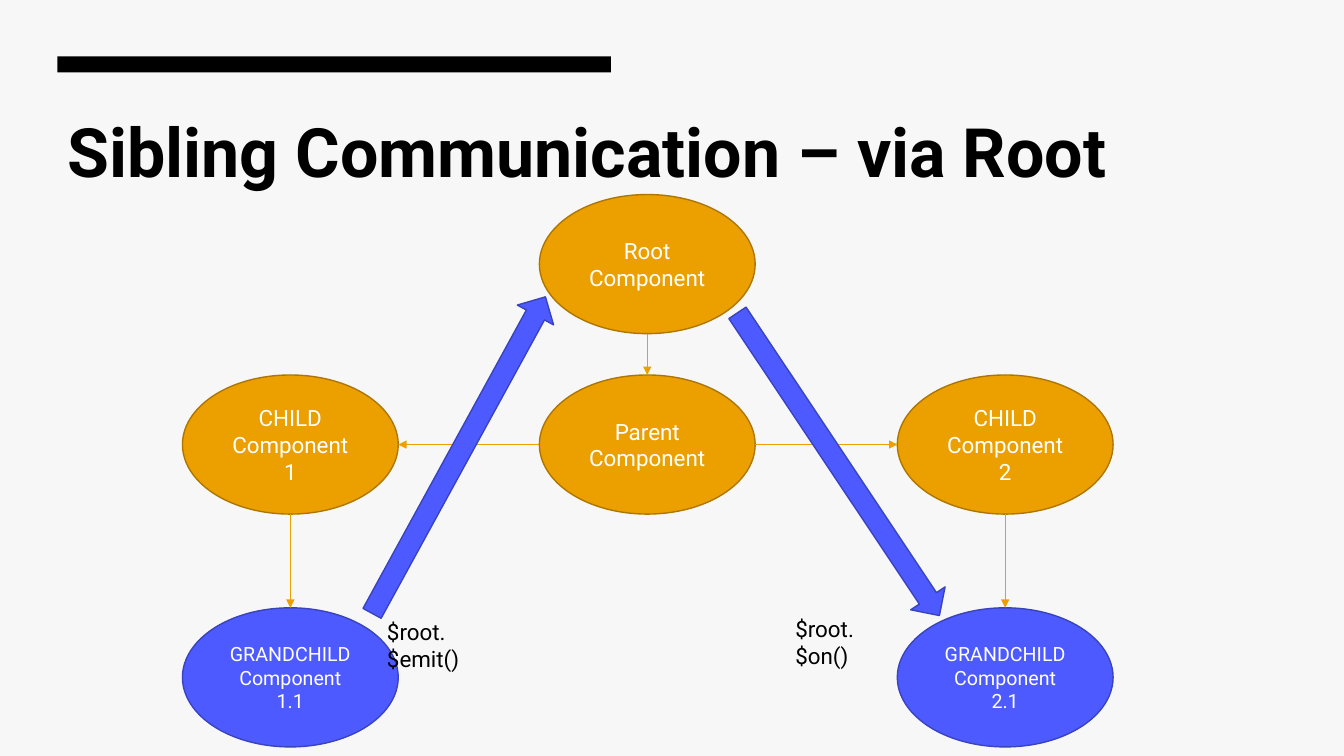
from pptx import Presentation
from pptx.dml.color import RGBColor
from pptx.enum.shapes import MSO_CONNECTOR, MSO_SHAPE
from pptx.enum.text import MSO_ANCHOR, PP_ALIGN
from pptx.oxml.ns import qn
from pptx.util import Inches, Pt
from lxml.etree import SubElement

BLACK = RGBColor(0x00, 0x00, 0x00)
WHITE = RGBColor(0xFF, 0xFF, 0xFF)
BACKGROUND = RGBColor(0xF7, 0xF7, 0xF7)
ORANGE = RGBColor(0xEB, 0xA0, 0x00)
ORANGE_EDGE = RGBColor(0xAE, 0x76, 0x00)
BLUE = RGBColor(0x4D, 0x5A, 0xFF)
BLUE_EDGE = RGBColor(0x39, 0x43, 0xBD)

NODE_WIDTH, NODE_HEIGHT = 2.14, 1.38
LEFT, MIDDLE, RIGHT = 2.88, 6.42, 9.97
ROOT_ROW, CHILD_ROW, GRANDCHILD_ROW = 2.62, 4.41, 6.72


def write_text(frame, text, size=16, color=BLACK, bold=False,
               align=PP_ALIGN.LEFT, anchor=MSO_ANCHOR.TOP):
    frame.word_wrap = True
    frame.vertical_anchor = anchor
    frame.text = text
    for paragraph in frame.paragraphs:
        paragraph.alignment = align
        font = paragraph.runs[0].font
        font.name = "Roboto"
        font.size = Pt(size)
        font.bold = bold
        font.color.rgb = color


class DiagramSlide:
    def __init__(self, presentation):
        self.slide = presentation.slides.add_slide(presentation.slide_layouts[5])
        fill = self.slide.background.fill
        fill.solid()
        fill.fore_color.rgb = BACKGROUND

    def title(self, text):
        title = self.slide.shapes.title
        title.left, title.top = Inches(0.57), Inches(1.07)
        title.width, title.height = Inches(12.21), Inches(0.85)
        write_text(title.text_frame, text, size=48.6, bold=True,
                   anchor=MSO_ANCHOR.MIDDLE)

    def shape(self, kind, left, top, width, height, fill, edge=None):
        shape = self.slide.shapes.add_shape(
            kind, Inches(left), Inches(top), Inches(width), Inches(height))
        shape.shadow.inherit = False
        shape.fill.solid()
        shape.fill.fore_color.rgb = fill
        if edge is None:
            shape.line.fill.background()
        else:
            shape.line.color.rgb = edge
            shape.line.width = Pt(1)
        return shape

    def node(self, text, x, y, fill=ORANGE, edge=ORANGE_EDGE, size=16):
        shape = self.shape(MSO_SHAPE.OVAL, x - NODE_WIDTH / 2, y - NODE_HEIGHT / 2,
                           NODE_WIDTH, NODE_HEIGHT, fill, edge)
        write_text(shape.text_frame, text, size=size, color=WHITE,
                   align=PP_ALIGN.CENTER, anchor=MSO_ANCHOR.MIDDLE)

    def block_arrow(self, left, top, length, rotation):
        shape = self.shape(MSO_SHAPE.RIGHT_ARROW, left, top, length, 0.41,
                           BLUE, BLUE_EDGE)
        shape.rotation = rotation

    def link(self, start_x, start_y, end_x, end_y):
        connector = self.slide.shapes.add_connector(
            MSO_CONNECTOR.STRAIGHT, Inches(start_x), Inches(start_y),
            Inches(end_x), Inches(end_y))
        connector.line.color.rgb = ORANGE
        connector.line.width = Pt(0.5)
        line = connector.line._get_or_add_ln()
        SubElement(line, qn("a:tailEnd"), type="triangle")
        SubElement(connector._element.spPr, qn("a:effectLst"))

    def link_down(self, x, upper_row, lower_row):
        self.link(x, upper_row + NODE_HEIGHT / 2, x, lower_row - NODE_HEIGHT / 2)

    def label(self, text, left, top, width):
        box = self.slide.shapes.add_textbox(
            Inches(left), Inches(top), Inches(width), Inches(0.37))
        write_text(box.text_frame, text)


def main():
    presentation = Presentation()
    presentation.slide_width = Inches(13.33)
    presentation.slide_height = Inches(7.5)
    diagram = DiagramSlide(presentation)

    diagram.shape(MSO_SHAPE.RECTANGLE, 0.57, 0.56, 5.49, 0.16, BLACK)
    diagram.title("Sibling Communication – via Root")

    diagram.node("Parent Component", MIDDLE, CHILD_ROW)
    for number, x, side in ((1, LEFT, -1), (2, RIGHT, 1)):
        diagram.node(f"GRANDCHILD Component\n{number}.1", x, GRANDCHILD_ROW,
                     BLUE, BLUE_EDGE, size=14)
        diagram.node(f"CHILD Component\n{number}", x, CHILD_ROW)
        diagram.link(MIDDLE + side * NODE_WIDTH / 2, CHILD_ROW,
                     x - side * NODE_WIDTH / 2, CHILD_ROW)
        diagram.link_down(x, CHILD_ROW, GRANDCHILD_ROW)

    diagram.block_arrow(2.76, 4.31, 3.58, 298.7)
    diagram.block_arrow(6.51, 4.4, 3.61, 56.3)
    diagram.label("$root.$emit()", 3.74, 6.08, 1.4)
    diagram.label("$root.$on()", 7.79, 6.05, 1.2)
    diagram.node("Root Component", MIDDLE, ROOT_ROW)
    diagram.link_down(MIDDLE, ROOT_ROW, CHILD_ROW)

    presentation.save("out.pptx")


if __name__ == "__main__":
    main()
